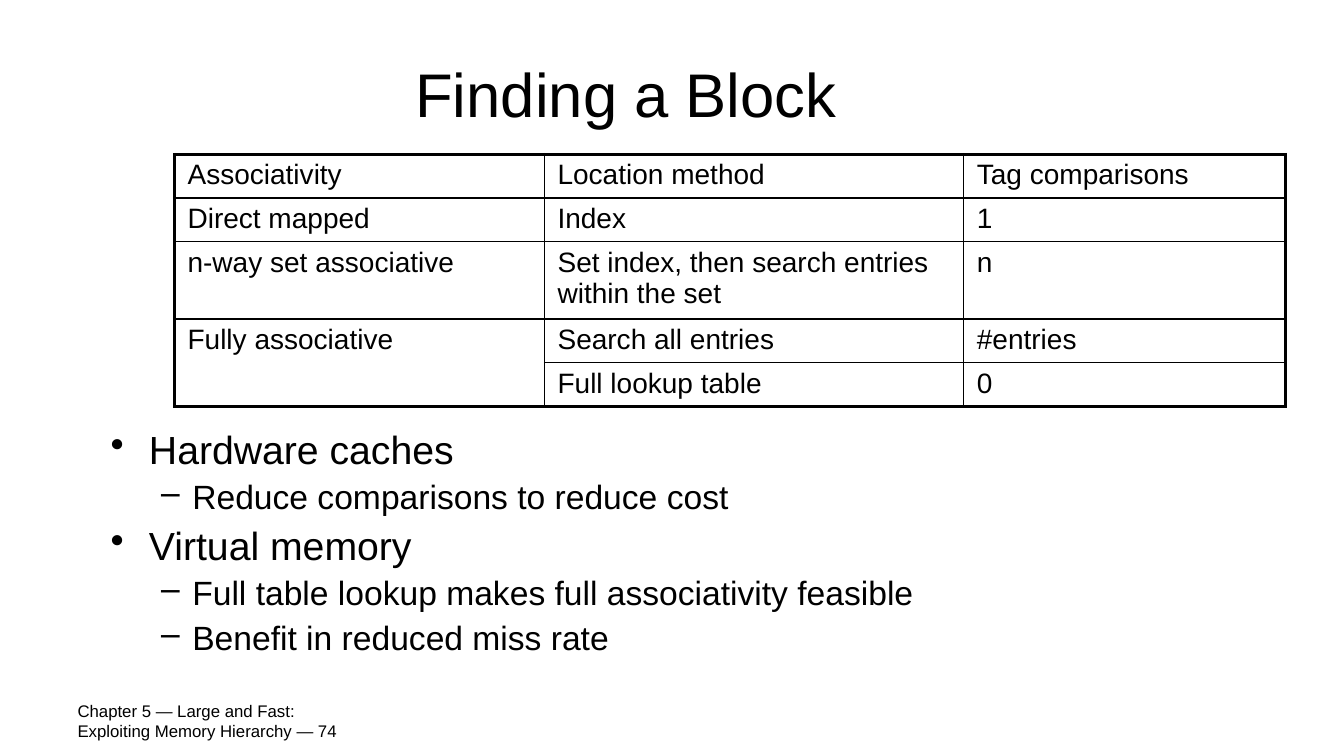
import pptx
import pptx.dml.color
import pptx.enum.text
import pptx.oxml
import pptx.oxml.ns
import pptx.util

BLACK = pptx.dml.color.RGBColor(0, 0, 0)
LEFT = pptx.enum.text.PP_ALIGN.LEFT
CENTER = pptx.enum.text.PP_ALIGN.CENTER
TOP = pptx.enum.text.MSO_ANCHOR.TOP
MIDDLE = pptx.enum.text.MSO_ANCHOR.MIDDLE

THICK, RULE, THIN = 2.25, 1.5, 1
LEVELS = [("•", 28, 0.38, 0.38), ("–", 24, 0.81, 0.31)]

ROWS = [
    ["Associativity", "Location method", "Tag comparisons"],
    ["Direct mapped", "Index", "1"],
    ["n-way set associative", "Set index, then search entries within the set", "n"],
    ["Fully associative", "Search all entries", "#entries"],
    ["", "Full lookup table", "0"],
]
POINTS = [
    (0, "Hardware caches"),
    (1, "Reduce comparisons to reduce cost"),
    (0, "Virtual memory"),
    (1, "Full table lookup makes full associativity feasible"),
    (1, "Benefit in reduced miss rate"),
]


class Deck:
    """Draw styled elements on a slide, with lengths in percent of its size."""

    def __init__(self, font, color):
        self.font, self.color = font, color
        self.show = pptx.Presentation()
        self.show.slide_width = pptx.util.Inches(13.33)
        self.show.slide_height = pptx.util.Inches(7.5)
        self.slide = self.show.slides.add_slide(self.show.slide_layouts[6])

    def wide(self, share):
        return int(self.show.slide_width * share / 100)

    def high(self, share):
        return int(self.show.slide_height * share / 100)

    def style(self, para, size):
        for run in para.runs:
            run.font.name = self.font
            run.font.size = pptx.util.Pt(size)
            run.font.color.rgb = self.color

    def frame(self, x, y, w, h, anchor):
        box = self.slide.shapes.add_textbox(
            self.wide(x), self.high(y), self.wide(w), self.high(h))
        box.text_frame.word_wrap = True
        box.text_frame.vertical_anchor = anchor
        return box.text_frame

    def text(self, x, y, w, h, words, size, align):
        frame = self.frame(x, y, w, h, MIDDLE)
        frame.text = words
        frame.paragraphs[0].alignment = align
        self.style(frame.paragraphs[0], size)

    def list(self, x, y, w, h, points):
        frame = self.frame(x, y, w, h, TOP)
        frame.text = "\n".join(words for _, words in points)
        for index, (para, (level, _)) in enumerate(zip(frame.paragraphs, points)):
            mark, size, indent, hang = LEVELS[level]
            props = para._p.get_or_add_pPr()
            props.set("marL", str(pptx.util.Inches(indent)))
            props.set("indent", str(-pptx.util.Inches(hang)))
            props.append(pptx.oxml.parse_xml(
                f'<a:buChar {pptx.oxml.ns.nsdecls("a")} char="{mark}"/>'))
            para.level = level
            para.line_spacing = 0.9
            if index:
                para.space_before = pptx.util.Pt(size * 0.24)
            self.style(para, size)

    def edges(self, cell, widths):
        props = cell._tc.get_or_add_tcPr()
        for place, (side, width) in enumerate(zip("LRTB", widths)):
            props.insert(place, pptx.oxml.parse_xml(
                f'<a:ln{side} {pptx.oxml.ns.nsdecls("a")} w="{pptx.util.Pt(width)}">'
                f'<a:solidFill><a:srgbClr val="{self.color}"/></a:solidFill>'
                f'</a:ln{side}>'))

    def cell(self, cell, words, size):
        cell.text = words
        cell.fill.background()
        cell.margin_left = cell.margin_right = pptx.util.Inches(0.13)
        cell.margin_top = cell.margin_bottom = pptx.util.Inches(0.05)
        self.style(cell.text_frame.paragraphs[0], size)

    def table(self, x, y, cols, highs, rows, size, merge):
        table = self.slide.shapes.add_table(
            len(highs), len(cols), self.wide(x), self.high(y),
            self.wide(sum(cols)), self.high(sum(highs))).table
        table.first_row = table.horz_banding = False
        for col, share in zip(table.columns, cols):
            col.width = self.wide(share)
        for row, share in zip(table.rows, highs):
            row.height = self.high(share)
        first, last = merge
        table.cell(*first).merge(table.cell(*last))
        for r, row in enumerate(rows):
            for c, words in enumerate(row):
                cell = table.cell(r, c)
                self.cell(cell, words, size)
                end = r + (cell.span_height if cell.is_merge_origin else 1)
                self.edges(cell, (
                    THIN if c else THICK,
                    THICK if c == len(cols) - 1 else THIN,
                    {0: THICK, 1: RULE}.get(r, THIN),
                    THICK if end == len(rows) else THIN if r else RULE))

    def save(self):
        self.show.save("out.pptx")


def main():
    deck = Deck("Arial", BLACK)
    deck.text(5.03, 92.67, 23.33, 5.33,
              "Chapter 5 — Large and Fast: Exploiting Memory Hierarchy — 74", 12, LEFT)
    deck.text(5.03, 4, 83.12, 16.67, "Finding a Block", 44, CENTER)
    deck.list(7.5, 56.27, 90.47, 34.67, POINTS)
    deck.table(12.98, 20.4, [27.53, 31.2, 23.93], [5.47, 5.47, 9.6, 5.47, 5.47],
               ROWS, 20, ((3, 0), (4, 0)))
    deck.save()


if __name__ == "__main__":
    main()
